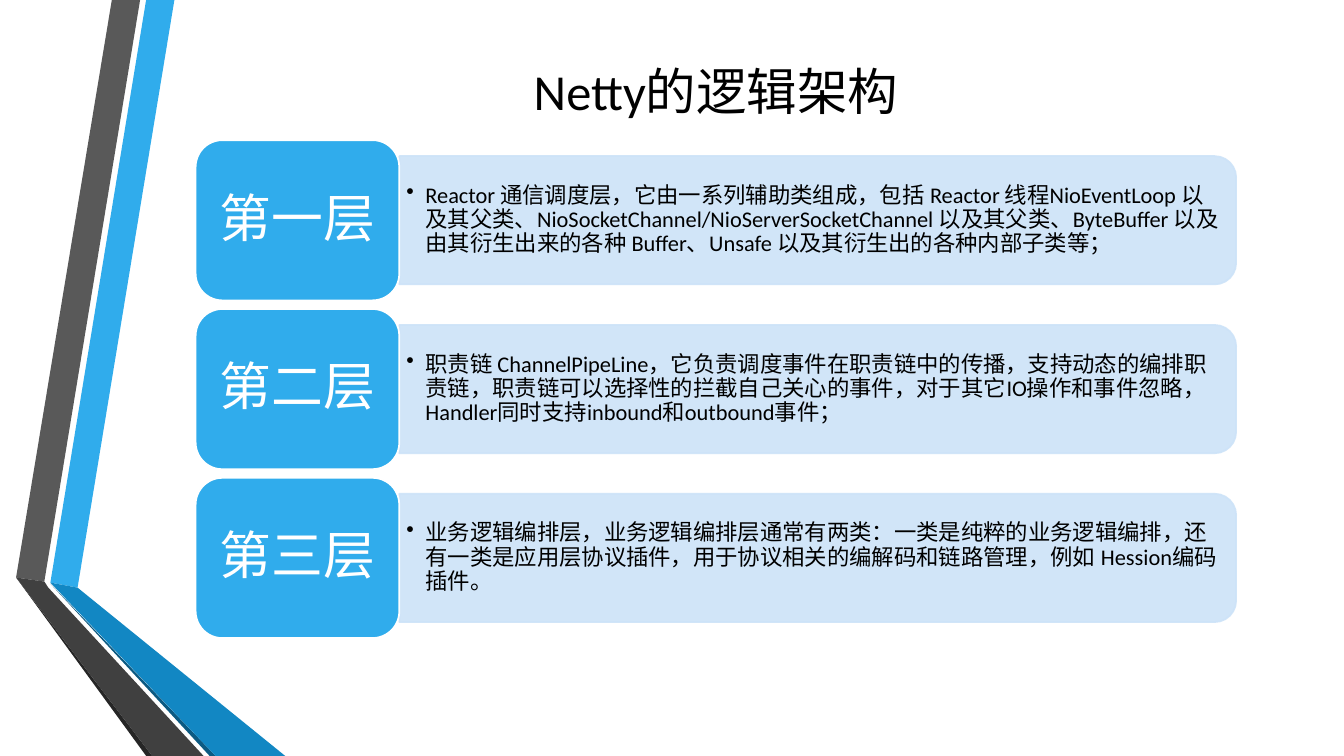
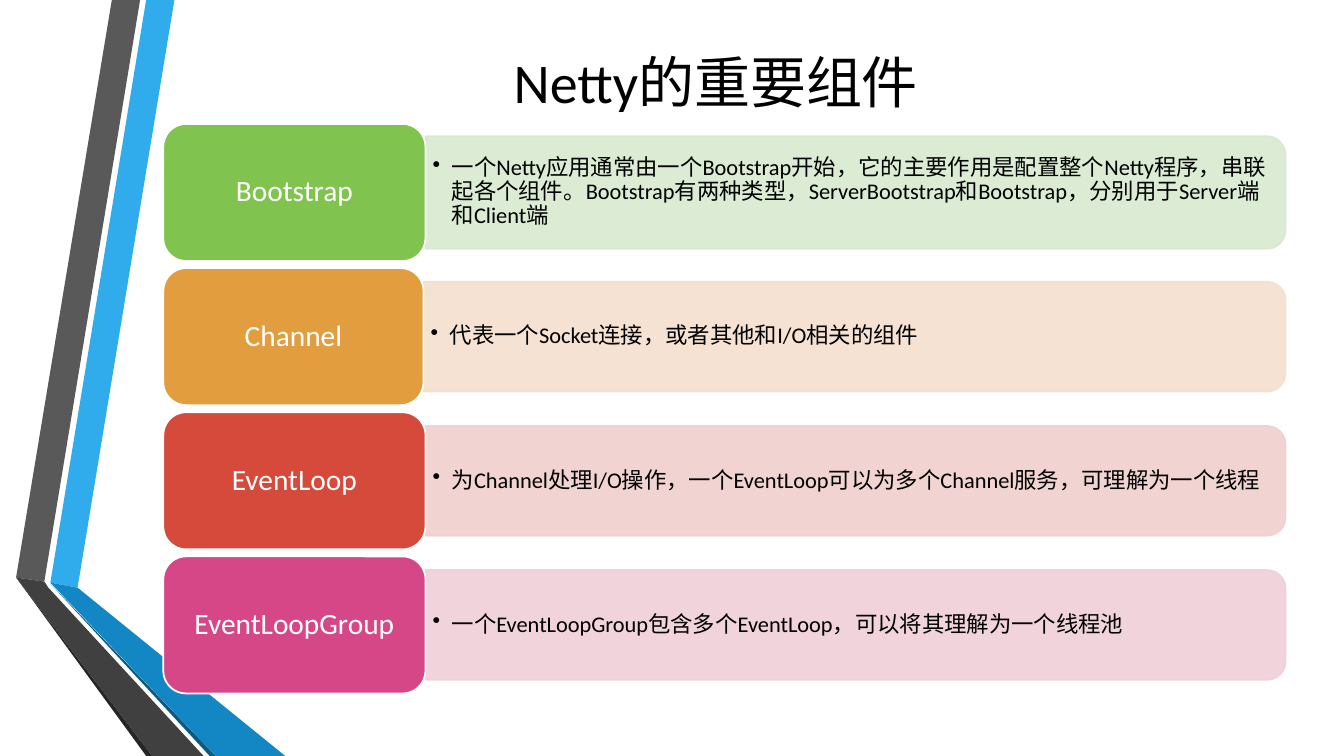
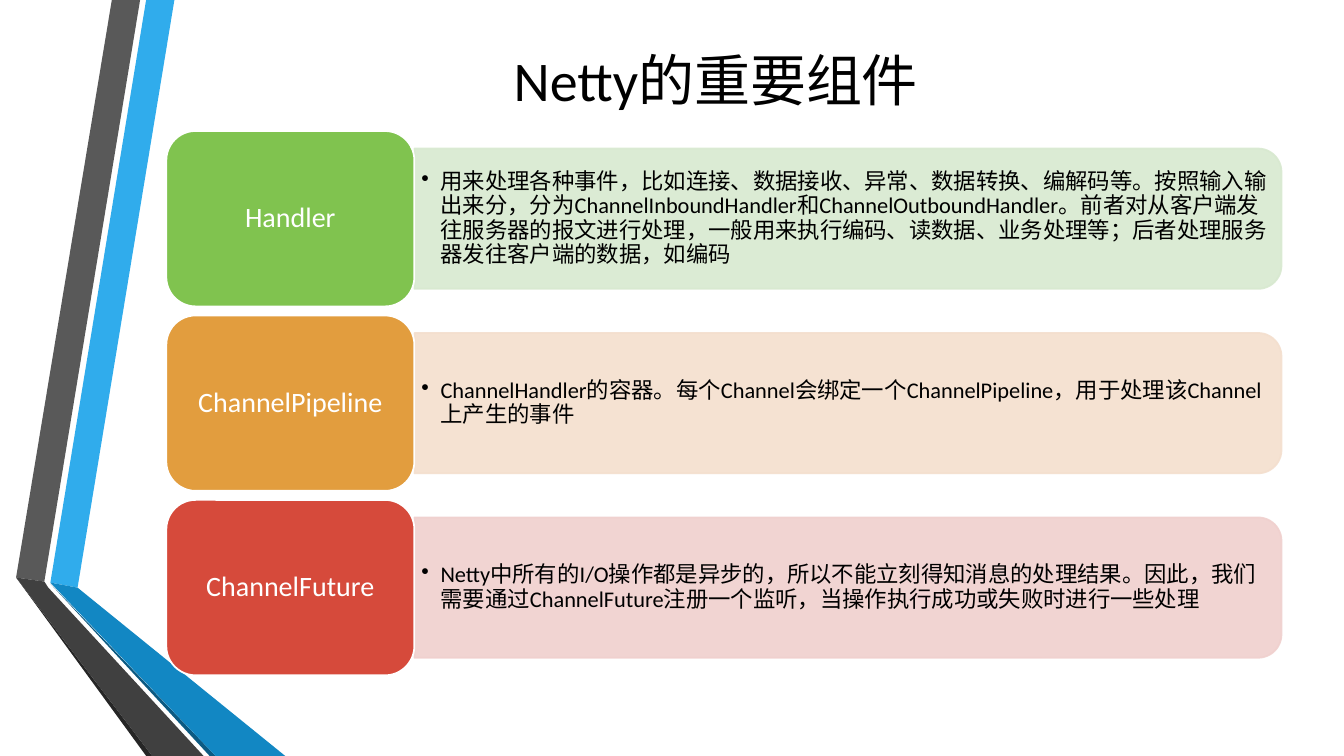
from dataclasses import dataclass
from typing import Any

from lxml import etree
from pptx import Presentation
from pptx import util as u
from pptx.dml.color import RGBColor
from pptx.enum import shapes, text
from pptx.oxml.ns import qn

HUES = {
    "black": "000000", "white": "FFFFFF",
    "blue": "30ACEC", "blue_pale": "CDE3F8", "blue_mid": "1287C3", "blue_dark": "0C5A82",
    "grey": "595959", "grey_mid": "404040", "grey_dark": "262626",
    "green": "80C34F", "green_pale": "D8E9D0",
    "gold": "E29D3E", "gold_pale": "F4DFCE",
    "red": "D64A3B", "red_pale": "F0D0CE",
    "pink": "D64787", "pink_pale": "F0CFD9",
}
FONT = "Calibri"
EDGE = 1.25  # outline width in points
INDENT = 0.19

# Ribbon facets in the left margin, back to front
RIBBON = [
    ("blue", [(0.5, 5.78), (0.77, 5.83), (1.73, 0), (1.45, 0)]),
    ("grey", [(1.39, 0), (1.11, 0), (0.16, 5.73), (0.44, 5.77)]),
    ("grey_dark", [(0.16, 5.73), (1.45, 7.5), (1.51, 7.5)]),
    ("blue_dark", [(0.5, 5.79), (2.08, 7.5), (2.14, 7.5)]),
    ("blue_mid", [(0.5, 5.78), (2.14, 7.5), (2.83, 7.5), (0.77, 5.83)]),
    ("grey_mid", [(2.02, 7.5), (0.48, 5.83), (0.44, 5.77), (0.16, 5.73), (1.51, 7.5)]),
]


@dataclass
class Box:
    left: float
    top: float
    width: float
    height: float

    def emu(self) -> list[int]:
        return [u.Inches(n) for n in (self.left, self.top, self.width, self.height)]


@dataclass
class Row:
    label: str
    body: str
    hue: str
    trim: float = 0  # taken off the label width
    grow: float = 0  # added to the panel height


@dataclass
class Page:
    title: str
    size: int
    head: Box
    label: Box  # first label
    last: float  # top of the last label
    right: float  # right edge of the panels
    font: int  # label text size
    pad: tuple[float, float]  # label insets
    rows: list[Row]


PAGES = [
    Page("Netty的逻辑架构", 36, Box(1.62, 0.55, 10.96, 0.7),
         Box(1.94, 1.39, 2.02, 1.59), 4.74, 12.26, 37, (0.15, 0.08), [
        Row("第一层", "Reactor 通信调度层，它由一系列辅助类组成，包括 Reactor 线程NioEventLoop "
            "以及其父类、NioSocketChannel/NioServerSocketChannel 以及其父类、ByteBuffer "
            "以及由其衍生出来的各种 Buffer、Unsafe 以及其衍生出的各种内部子类等；", "blue"),
        Row("第二层", "职责链 ChannelPipeLine，它负责调度事件在职责链中的传播，支持动态的编排职责链，"
            "职责链可以选择性的拦截自己关心的事件，对于其它IO操作和事件忽略，"
            "Handler同时支持inbound和outbound事件；", "blue"),
        Row("第三层", "业务逻辑编排层，业务逻辑编排层通常有两类：一类是纯粹的业务逻辑编排，"
            "还有一类是应用层协议插件，用于协议相关的编解码和链路管理，例如 Hession编码插件。", "blue"),
    ]),
    Page("Netty的重要组件", 40, Box(1.62, 0.37, 10.96, 0.86),
         Box(1.62, 1.23, 2.6, 1.36), 5.52, 12.75, 21, (0.09, 0.04), [
        Row("Bootstrap", "一个Netty应用通常由一个Bootstrap开始，它的主要作用是配置整个Netty程序，"
            "串联起各个组件。Bootstrap有两种类型，ServerBootstrap和Bootstrap，"
            "分别用于Server端和Client端", "green", grow=0.03),
        Row("Channel", "代表一个Socket连接，或者其他和I/O相关的组件", "gold", trim=0.02),
        Row("EventLoop", "为Channel处理I/O操作，一个EventLoop可以为多个Channel服务，"
            "可理解为一个线程", "red"),
        Row("EventLoopGroup", "一个EventLoopGroup包含多个EventLoop，"
            "可以将其理解为一个线程池", "pink"),
    ]),
    Page("Netty的重要组件", 40, Box(1.62, 0.27, 10.96, 1.02),
         Box(1.65, 1.3, 2.46, 1.74), 4.96, 12.71, 20, (0.08, 0.04), [
        Row("Handler", "用来处理各种事件，比如连接、数据接收、异常、数据转换、编解码等。"
            "按照输入输出来分，分为ChannelInboundHandler和ChannelOutboundHandler。"
            "前者对从客户端发往服务器的报文进行处理，一般用来执行编码、读数据、业务处理等；"
            "后者处理服务器发往客户端的数据，如编码", "green"),
        Row("ChannelPipeline", "ChannelHandler的容器。每个Channel会绑定一个ChannelPipeline，"
            "用于处理该Channel上产生的事件", "gold"),
        Row("ChannelFuture", "Netty中所有的I/O操作都是异步的，所以不能立刻得知消息的处理结果。"
            "因此，我们需要通过ChannelFuture注册一个监听，当操作执行成功或失败时进行一些处理", "red"),
    ]),
]


def color(name: str) -> RGBColor:
    return RGBColor.from_string(HUES[name])


def paint(shape: Any, fill: str, line: str = "") -> None:
    shape.shadow.inherit = False
    shape.fill.solid()
    shape.fill.fore_color.rgb = color(fill)
    if line:
        shape.line.color.rgb = color(line)
        shape.line.width = u.Pt(EDGE)
    else:
        shape.line.fill.background()


def write(shape: Any, words: str, size: int, hue: str, pad: tuple[float, float],
          space: float = 0.9, bullet: bool = False) -> None:
    frame = shape.text_frame
    para = frame.paragraphs[0]
    run = para.add_run()
    side, end = (u.Inches(n) for n in pad)
    align = text.PP_ALIGN.LEFT if bullet else text.PP_ALIGN.CENTER
    looks = [
        (frame, {"word_wrap": True, "vertical_anchor": text.MSO_ANCHOR.MIDDLE,
                 "margin_left": side, "margin_right": side,
                 "margin_top": end, "margin_bottom": end}),
        (para, {"alignment": align, "line_spacing": space}),
        (run, {"text": words}),
        (run.font, {"name": FONT, "size": u.Pt(size)}),
        (run.font.color, {"rgb": color(hue)}),
    ]
    for part, values in looks:
        for key, value in values.items():
            setattr(part, key, value)
    if bullet:
        props = para._p.get_or_add_pPr()
        props.set("marL", str(u.Inches(INDENT)))
        props.set("indent", str(-u.Inches(INDENT)))
        etree.SubElement(props, qn("a:buChar")).set("char", "•")


def add_ribbon(slide: Any) -> None:
    for hue, points in RIBBON:
        start, *rest = [(u.Inches(x), u.Inches(y)) for x, y in points]
        pen = slide.shapes.build_freeform(*start)
        pen.add_line_segments(rest, close=True)
        paint(pen.convert_to_shape(), hue)


def add_panel(slide: Any, box: Box, hue: str) -> None:
    # The preset rounds its top corners, so turn it to round the right side
    turned = Box(box.left + (box.width - box.height) / 2,
                 box.top + (box.height - box.width) / 2, box.height, box.width)
    panel = slide.shapes.add_shape(shapes.MSO_SHAPE.ROUND_2_SAME_RECTANGLE, *turned.emu())
    panel.rotation = 90
    paint(panel, hue, hue)
    for node in panel._element.spPr.iter(qn("a:srgbClr")):
        etree.SubElement(node, qn("a:alpha")).set("val", "90000")


def add_row(slide: Any, page: Page, row: Row, top: float) -> None:
    first = page.label
    label = Box(first.left, top, first.width - row.trim, first.height)
    left = label.left + label.width
    tall = 0.8 * label.height + row.grow
    panel = Box(left, top + (label.height - tall) / 2, page.right - left, tall)
    add_panel(slide, panel, row.hue + "_pale")

    # Body text stays clear of the rounded corners
    area = Box(left, panel.top + 0.06, panel.width - 0.06, tall - 0.12)
    body = slide.shapes.add_textbox(*area.emu())
    write(body, row.body, 16, "black", (0.07, 0.03), bullet=True)

    tag = slide.shapes.add_shape(shapes.MSO_SHAPE.ROUNDED_RECTANGLE, *label.emu())
    paint(tag, row.hue, "white")
    write(tag, row.label, page.font, "white", page.pad)


def add_page(deck: Any, page: Page) -> None:
    slide = deck.slides.add_slide(deck.slide_layouts[6])
    add_ribbon(slide)
    title = slide.shapes.add_textbox(*page.head.emu())
    write(title, page.title, page.size, "black", (0.1, 0.05), space=1.0)
    step = (page.last - page.label.top) / (len(page.rows) - 1)
    for i, row in enumerate(page.rows):
        add_row(slide, page, row, page.label.top + i * step)


def main() -> None:
    deck = Presentation()
    deck.slide_width, deck.slide_height = u.Inches(13.33), u.Inches(7.5)
    for page in PAGES:
        add_page(deck, page)
    deck.save("out.pptx")


if __name__ == "__main__":
    main()
